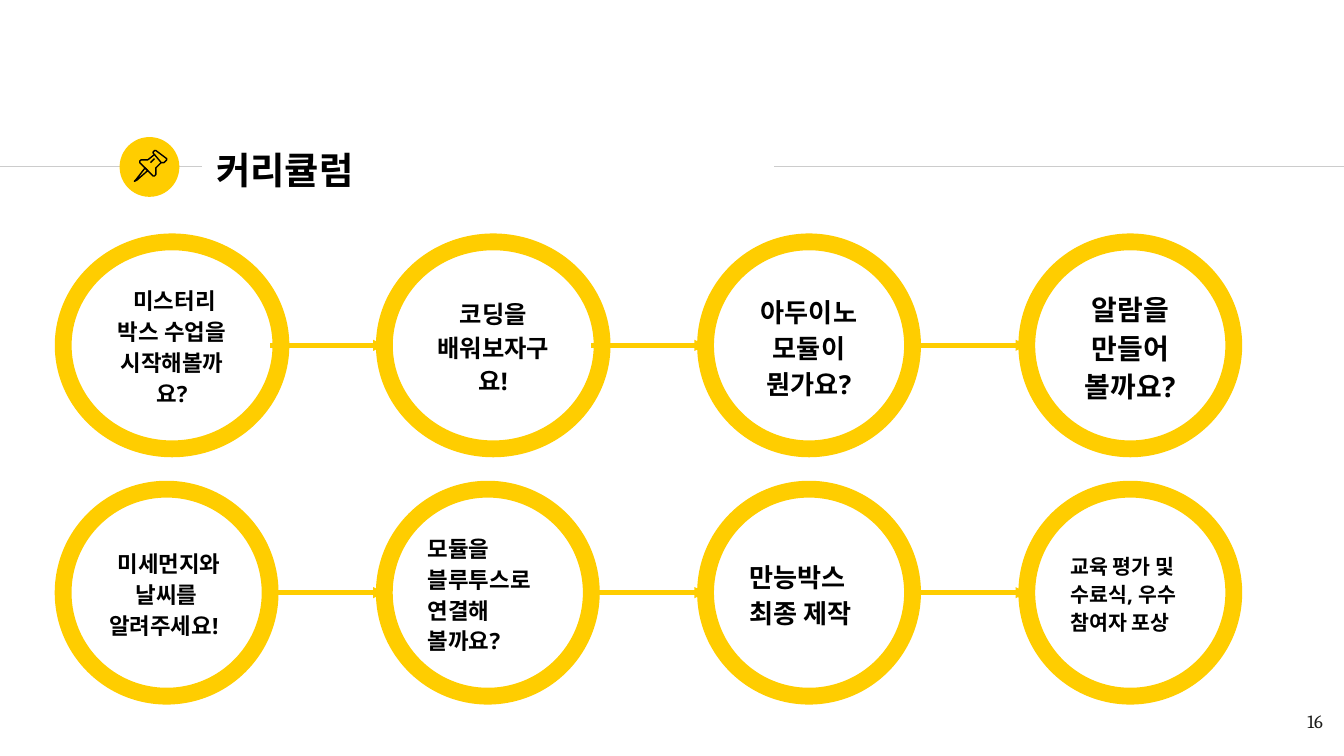
from lxml import etree
from pptx import Presentation
from pptx import util as u
from pptx.dml.color import RGBColor
from pptx.enum import shapes, text
from pptx.oxml import ns

PX = 4572  # EMU per px, 200 px to the inch
YELLOW = RGBColor(0xFF, 0xCD, 0x00)
GREY = RGBColor(0xCC, 0xCC, 0xCC)
BLACK = RGBColor(0, 0, 0)
INK = RGBColor(0x1D, 0x1D, 0x1B)

LEFT, CENTER, RIGHT = text.PP_ALIGN.LEFT, text.PP_ALIGN.CENTER, text.PP_ALIGN.RIGHT
INSET = 20
RING = 308
WIDE_RING = 324
COLUMN_STEP = 478
ROW_STEP = 368

# Each step: wording, text size, alignment, ring width
STEPS = [
    [
        (" 미스터리 박스 수업을 시작해볼까요?", 12, CENTER, WIDE_RING),
        ("코딩을 배워보자구요!", 13, CENTER, WIDE_RING),
        ("아두이노 모듈이 뭔가요?", 14, CENTER, RING),
        ("알람을 만들어 볼까요?", 15, CENTER, RING),
    ],
    [
        (" 미세먼지와 날씨를 알려주세요! ", 12, CENTER, RING),
        ("모듈을 블루투스로 연결해 볼까요?", 12, LEFT, RING),
        ("만능박스 최종 제작", 14, LEFT, RING),
        ("교육 평가 및 수료식, 우수 참여자 포상", 11, LEFT, RING),
    ],
]

# Pin outlines in px from the badge corner: points, closed
PIN_OUTLINES = [
    ([(38, 46), (24, 64), (22, 66), (26, 64), (42, 50)], True),
    ([(52, 26), (62, 38), (66, 38), (70, 34), (70, 32), (54, 20),
      (52, 20), (50, 22), (50, 24)], True),
    ([(52, 26), (42, 34), (34, 34), (32, 34), (30, 36), (30, 38), (50, 58),
      (52, 58), (54, 56), (54, 48), (54, 46), (62, 38)], False),
    ([(46, 38), (52, 32)], False),
]


def px(*lengths):
    return [u.Emu(length * PX) for length in lengths]


def add_line(slide, start, end, color, width, arrow=False):
    line = slide.shapes.add_connector(
        shapes.MSO_CONNECTOR.STRAIGHT, *px(*start, *end))
    line.line.color.rgb = color
    line.line.width = u.Pt(width)
    if arrow:
        head = etree.SubElement(line.line._get_or_add_ln(), ns.qn("a:tailEnd"))
        for name, value in (("type", "triangle"), ("w", "sm"), ("len", "sm")):
            head.set(name, value)
    etree.SubElement(line._element.spPr, ns.qn("a:effectLst"))


def add_ellipse(slide, box):
    shape = slide.shapes.add_shape(shapes.MSO_SHAPE.OVAL, *px(*box))
    shape.shadow.inherit = False
    return shape


def write(shape, wording, font_name, size, color, align=LEFT,
          bold=True, anchor=text.MSO_ANCHOR.MIDDLE, spacing=None):
    frame = shape.text_frame
    frame.word_wrap = True
    frame.vertical_anchor = anchor
    frame.margin_left, frame.margin_top, frame.margin_right, frame.margin_bottom = px(
        *[INSET] * 4)
    paragraph = frame.paragraphs[0]
    paragraph.text = wording
    paragraph.alignment = align
    paragraph.line_spacing = spacing
    paragraph._p.get_or_add_pPr().set("hangingPunct", "0")
    font = paragraph.font
    font.name, font.size, font.bold = font_name, u.Pt(size), bold
    font.color.rgb = color


def add_pin_badge(slide, left, top, size):
    badge = add_ellipse(slide, (left, top, size, size))
    badge.fill.solid()
    badge.fill.fore_color.rgb = YELLOW
    badge.line.fill.background()
    for points, closed in PIN_OUTLINES:
        (first_x, first_y), *rest = [(left + x, top + y) for x, y in points]
        builder = slide.shapes.build_freeform(first_x, first_y, scale=PX)
        builder.add_line_segments(rest, close=closed)
        outline = builder.convert_to_shape()
        outline.shadow.inherit = False
        outline.fill.background()
        outline.line.color.rgb = BLACK
        outline.line.width = u.Pt(0.75)


def add_header(slide, left, top, width, height):
    middle = top + 44
    add_line(slide, (left, middle), (left + 300, middle), GREY, 0.75)
    add_line(slide, (left + 1152, middle), (left + width, middle), GREY, 0.75)
    add_pin_badge(slide, left + 178, top, 89)
    title = slide.shapes.add_textbox(*px(left + 302, top, 848, height))
    write(title, "커리큘럼", "Noto Sans CJK KR", 20, BLACK)


def add_step_row(slide, left, top, steps):
    """Draw one row of rings, joined by arrows."""
    for column, (wording, size, align, width) in enumerate(steps):
        x = left + column * COLUMN_STEP
        ring = add_ellipse(slide, (x, top, width, RING))
        ring.fill.background()
        ring.line.color.rgb = YELLOW
        ring.line.width = u.Pt(9)
        write(ring, wording, "Noto Sans", size, BLACK, align, spacing=1.15)
    middle = top + RING // 2
    for column in range(len(steps) - 1):
        x = left + column * COLUMN_STEP
        add_line(slide, (x + RING, middle), (x + COLUMN_STEP, middle),
                 YELLOW, 3, arrow=True)


def add_page_number(slide, left, top, width, height):
    box = slide.shapes.add_textbox(*px(left, top, width, height))
    write(box, "16", "Cambria", 10, INK, RIGHT, bold=False,
          anchor=text.MSO_ANCHOR.TOP)


def main():
    presentation = Presentation()
    presentation.slide_width, presentation.slide_height = px(2000, 1125)
    slide = presentation.slides.add_slide(presentation.slide_layouts[6])
    add_header(slide, 0, 204, 2000, 96)
    for row, steps in enumerate(STEPS):
        add_step_row(slide, 94, 360 + row * ROW_STEP, steps)
    add_page_number(slide, 1868, 1039, 120, 86)
    presentation.save("out.pptx")


if __name__ == "__main__":
    main()
